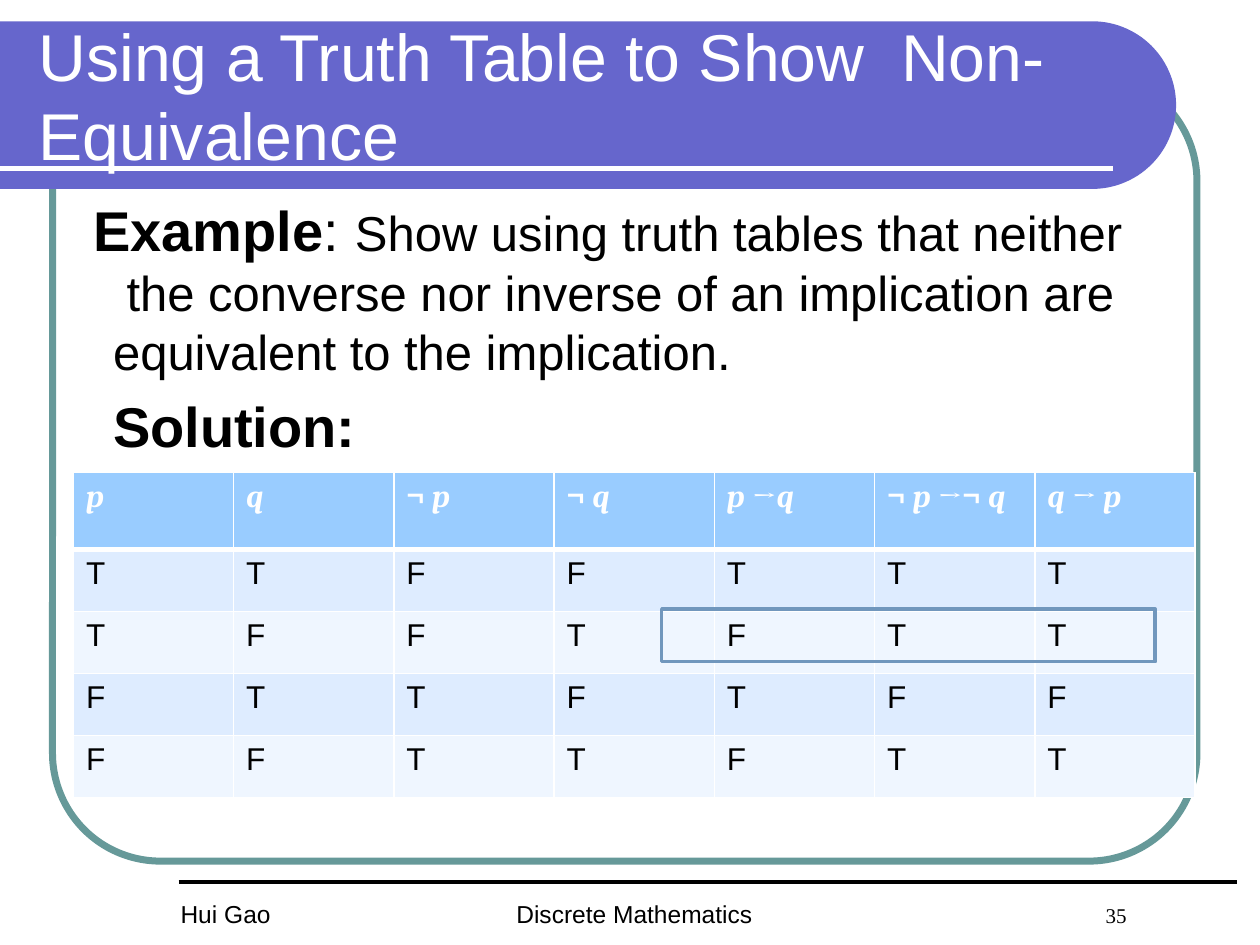
from itertools import groupby
from math import cos, pi, sin

from lxml.etree import SubElement
from pptx import Presentation
from pptx.dml.color import RGBColor
from pptx.enum.shapes import MSO_CONNECTOR, MSO_SHAPE
from pptx.enum.text import MSO_ANCHOR
from pptx.oxml.ns import qn
from pptx.util import Cm, Pt

COLORS = {
    "white": "FFFFFF",
    "black": "000000",
    "frame": "669999",
    "banner": "6666CC",
    "header": "99CCFF",
    "odd_row": "DEECFF",
    "even_row": "EFF6FF",
    "highlight": "7197BD",
}

HEADERS = ["p", "q", "¬ p", "¬ q", "p →q", "¬ p →¬ q", "q → p"]
TRUTH_ROWS = ["TTFFTTT", "TFFTFTT", "FTTFTFF", "FFTTFTT"]


def rgb(name):
    return RGBColor.from_string(COLORS[name])


def add_run(p, text, size, color="black", font="Arial", bold=False, italic=False):
    r = p.add_run()
    r.text = text
    r.font.name, r.font.size = font, Pt(size)
    r.font.bold, r.font.italic = bold, italic
    r.font.color.rgb = rgb(color)


def add_text_box(s, x, y, w, h, anchor=MSO_ANCHOR.TOP):
    tf = s.shapes.add_textbox(Cm(x), Cm(y), Cm(w), Cm(h)).text_frame
    tf.word_wrap = True
    tf.vertical_anchor = anchor
    return tf


def add_outline(s, preset, x, y, w, h, color, width):
    sp = s.shapes.add_shape(preset, Cm(x), Cm(y), Cm(w), Cm(h))
    sp.shadow.inherit = False
    sp.fill.background()
    sp.line.color.rgb = rgb(color)
    sp.line.width = Pt(width)
    return sp


def add_rule(s, x1, x2, y, color, width):
    line = s.shapes.add_connector(MSO_CONNECTOR.STRAIGHT, Cm(x1), Cm(y), Cm(x2), Cm(y))
    line.line.color.rgb = rgb(color)
    line.line.width = Pt(width)
    SubElement(line._element.spPr, qn("a:effectLst"))


def add_banner(s, center_x, top, radius):
    """Bar from the left edge that ends in a half circle."""
    steps = 60
    arc = [
        (Cm(center_x + radius * sin(pi * i / steps)),
         Cm(top + radius - radius * cos(pi * i / steps)))
        for i in range(steps + 1)
    ]
    builder = s.shapes.build_freeform(0, Cm(top))
    builder.add_line_segments(arc + [(0, Cm(top + 2 * radius))], close=True)
    sp = builder.convert_to_shape()
    sp.shadow.inherit = False
    sp.fill.solid()
    sp.fill.fore_color.rgb = rgb("banner")
    sp.line.fill.background()


def set_indent(p, left, first):
    pPr = p._p.get_or_add_pPr()
    pPr.set("marL", str(Cm(left)))
    pPr.set("indent", str(Cm(first)))


def add_tab_stop(p, position):
    tabs = SubElement(p._p.get_or_add_pPr(), qn("a:tabLst"))
    SubElement(tabs, qn("a:tab"), pos=str(Cm(position)), algn="l")


def style_cell(cell, fill, bottom=1):
    tcPr = cell._tc.get_or_add_tcPr()
    for side, width in (("lnL", 1), ("lnR", 1), ("lnT", 1), ("lnB", bottom)):
        ln = SubElement(tcPr, qn(f"a:{side}"), w=str(Pt(width)))
        solid = SubElement(ln, qn("a:solidFill"))
        SubElement(solid, qn("a:srgbClr"), val=COLORS["white"])
    cell.fill.solid()
    cell.fill.fore_color.rgb = rgb(fill)


def add_truth_table(s, x, y, w, header_h, row_h):
    rows, cols = len(TRUTH_ROWS) + 1, len(HEADERS)
    height = header_h + row_h * len(TRUTH_ROWS)
    table = s.shapes.add_table(rows, cols, Cm(x), Cm(y), Cm(w), Cm(height)).table
    for i, row in enumerate(table.rows):
        row.height = Cm(row_h if i else header_h)

    # Header: variables are italic, operators upright
    for j, formula in enumerate(HEADERS):
        cell = table.cell(0, j)
        style_cell(cell, "header", bottom=3)
        for is_variable, chars in groupby(formula, lambda c: c in "pq"):
            add_run(cell.text_frame.paragraphs[0], "".join(chars), 18, "white",
                    "Cambria", bold=True, italic=is_variable)

    # Truth values in banded rows
    for i, values in enumerate(TRUTH_ROWS, start=1):
        for j, value in enumerate(values):
            cell = table.cell(i, j)
            style_cell(cell, "odd_row" if i % 2 else "even_row")
            add_run(cell.text_frame.paragraphs[0], value, 18)


def add_body(s):
    tf = add_text_box(s, 1.06, 3.81, 22.01, 12.28)
    p = tf.paragraphs[0]
    set_indent(p, 0.97, -0.4)
    add_run(p, "Example", 32, bold=True)
    add_run(p, ": ", 32)
    add_run(p, "Show using truth tables that neither  the converse nor inverse "
               "of an implication are equivalent to the implication.", 28)
    solution = tf.add_paragraph()
    set_indent(solution, 0.97, 0)
    add_run(solution, "Solution:", 32, bold=True)
    for p in tf.paragraphs:
        p.space_before = Pt(6.4)


def add_footer(s):
    p = add_text_box(s, 10.16, 17.99, 15.04, 0.85).paragraphs[0]
    add_tab_stop(p, 11.88)
    add_run(p, "Discrete Mathematics\t", 14)
    add_run(p, "35", 12, font="Times New Roman")
    add_rule(s, 3.6, 24.94, 17.78, "black", 2.25)
    author = add_text_box(s, 3.39, 17.99, 4.87, 0.85).paragraphs[0]
    add_run(author, "Hui Gao", 14)


def main():
    prs = Presentation()
    prs.slide_width, prs.slide_height = Cm(25.4), Cm(19.05)
    s = prs.slides.add_slide(prs.slide_layouts[6])

    # Frame, banner and footer
    frame = add_outline(s, MSO_SHAPE.ROUNDED_RECTANGLE, 1.06, 1.48, 23.07, 15.88, "frame", 4)
    frame.adjustments[0] = 0.137
    add_banner(s, 22.02, 0.43, 1.69)
    add_rule(s, 0, 22.44, 3.39, "white", 3)
    add_footer(s)

    # Title and exercise
    title = add_text_box(s, 0.53, 0.64, 22.28, 2.54, MSO_ANCHOR.MIDDLE)
    add_run(title.paragraphs[0], "Using a Truth Table to Show  Non-Equivalence", 37.8, "white")
    add_body(s)

    # Truth table with the deciding row marked
    add_truth_table(s, 1.48, 9.53, 22.61, 1.55, 1.25)
    add_outline(s, MSO_SHAPE.RECTANGLE, 13.34, 12.28, 9.95, 1.06, "highlight", 2)

    prs.save("out.pptx")


if __name__ == "__main__":
    main()
